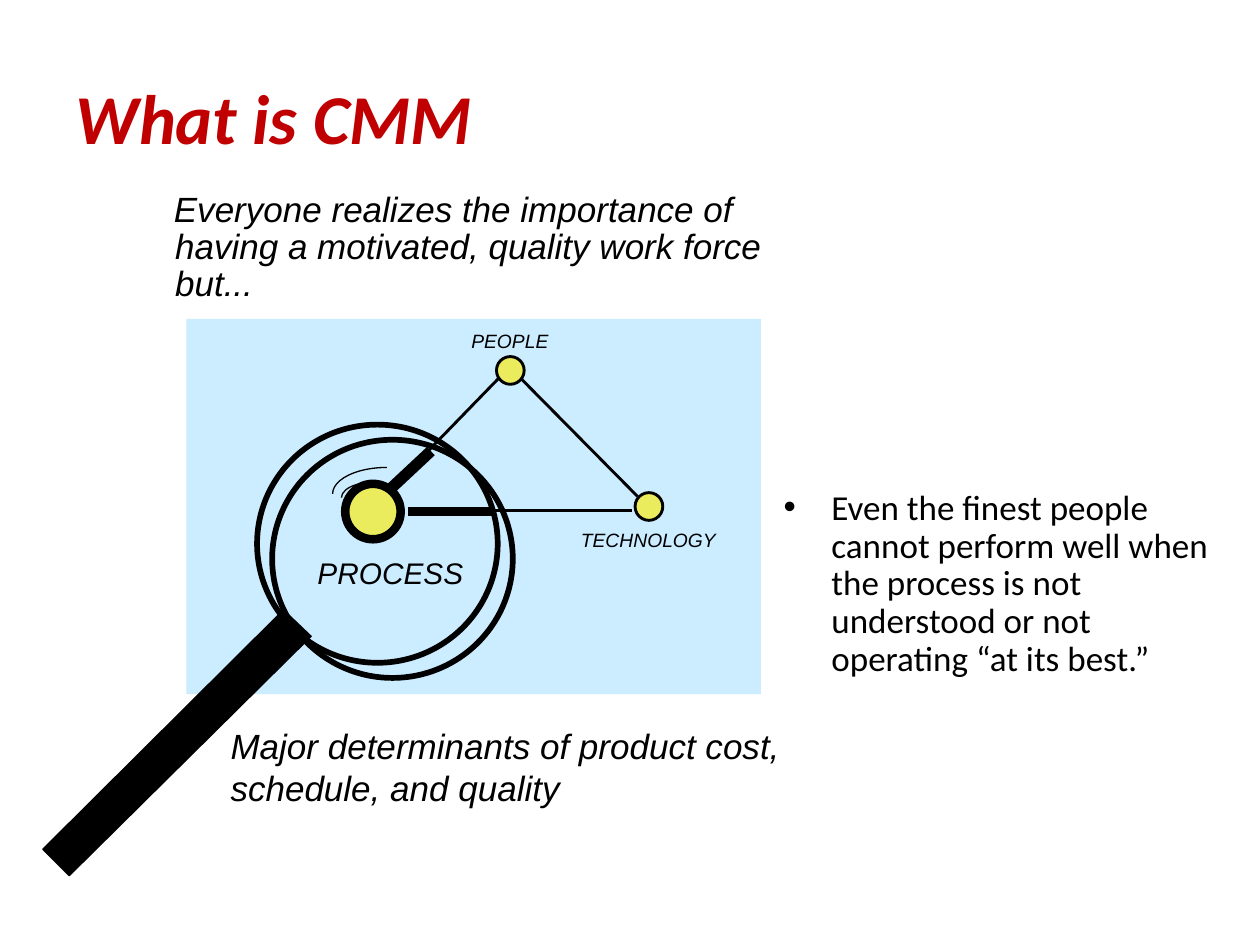
from lxml import etree
from pptx import Presentation
from pptx.dml.color import RGBColor
from pptx.enum.shapes import MSO_CONNECTOR, MSO_SHAPE
from pptx.enum.text import MSO_ANCHOR, PP_ALIGN
from pptx.oxml.ns import qn
from pptx.util import Inches, Pt

RECTANGLE, OVAL, ARC = MSO_SHAPE.RECTANGLE, MSO_SHAPE.OVAL, MSO_SHAPE.ARC
STRAIGHT = MSO_CONNECTOR.STRAIGHT
MIDDLE, LEFT = MSO_ANCHOR.MIDDLE, PP_ALIGN.LEFT

COLORS = {"title": "C00000", "ink": "000000", "panel": "CCECFF", "node": "EAEC5E"}

# Content: places in inches, sizes and line widths in points
TITLE = ("What is CMM", (0.5, 0.3, 9, 1.25))
TEXTS = [  # text, place, insets (side, top), format, paragraph options
    ("Everyone realizes the importance of having a motivated, quality work force but...",
     (1.31, 1.5, 5.29, 0.94), (0.07, 0.03), {"size": Pt(20), "name": "Arial", "italic": True},
     {"spacing": 0.88, "indent": 0.01}),
    ("Even the finest people cannot perform well when the process is not understood "
     "or not operating “at its best.”",
     (6.12, 3.84, 3.68, 1.98), (0.1, 0.05), {"size": Pt(20), "name": "Calibri"},
     {"spacing": 0.9, "indent": 0.38, "bullet": "•"}),
    ("Major determinants of product cost, schedule, and quality",
     (1.83, 5.75, 4.53, 0.67), (0, 0), {"size": Pt(20), "name": "Arial", "italic": True}, {}),
]
LABELS = [  # text, place, size
    ("PEOPLE", (3.74, 2.61, 0.62, 0.18), 11),
    ("PROCESS", (2.52, 4.4, 1.16, 0.29), 17),
    ("TECHNOLOGY", (4.61, 4.19, 1.08, 0.18), 11),
]
PANEL = (1.48, 2.53, 4.56, 2.98)
LENS_RINGS = [(2.04, 3.37, 1.91, 1.89), (2.16, 3.49, 1.91, 1.89)]
HANDLE = [(2.25, 4.84), (0.34, 6.74), (0.55, 6.95), (2.47, 5.05)]
GLINTS = [(2.64, 3.71, 0.86, 0.42), (2.71, 3.83, 0.48, 0.24)]
LINKS = [  # from, to, width
    ((3.61, 4.05), (5.02, 4.05), 1.63),
    ((4.13, 3), (5.06, 3.94), 1.63),
    ((3.31, 3.67), (3.96, 3), 1.63),
    ((3.24, 4.06), (3.92, 4.06), 4.88),
    ((3.11, 3.87), (3.42, 3.58), 6.5),
]
NODES = [  # place, outline width
    ((5.04, 3.91, 0.22, 0.22), 1.63),
    ((3.94, 2.83, 0.22, 0.22), 1.63),
    ((2.74, 3.84, 0.44, 0.44), 4.88),
]


def color(name):
    return RGBColor.from_string(COLORS[name])


def inches(values):
    return [Inches(value) for value in values]


def paint(shape, fill=None, width=None):
    shape.shadow.inherit = False
    if fill:
        shape.fill.solid()
        shape.fill.fore_color.rgb = color(fill)
    else:
        shape.fill.background()
    if width:
        shape.line.width = Pt(width)
        shape.line.color.rgb = color("ink")
    else:
        shape.line.fill.background()


def add_shape(page, kind, place, fill=None, width=None):
    shape = page.shapes.add_shape(kind, *inches(place))
    paint(shape, fill, width)
    return shape


def add_link(page, start, end, width):
    link = page.shapes.add_connector(STRAIGHT, *inches(start + end))
    link.line.width = Pt(width)
    link.line.color.rgb = color("ink")
    etree.SubElement(link._element.spPr, qn("a:effectLst"))


def format_font(para, values, color_name="ink"):
    for key, value in values.items():
        setattr(para.font, key, value)
    para.font.color.rgb = color(color_name)


def add_text(page, text, place, insets, values, options, wrap=True):
    frame = page.shapes.add_textbox(*inches(place)).text_frame
    frame.word_wrap = wrap
    frame.margin_left = frame.margin_right = Inches(insets[0])
    frame.margin_top = frame.margin_bottom = Inches(insets[1])
    para = frame.paragraphs[0]
    para.text = text
    if "spacing" in options:
        para.line_spacing = options["spacing"]
    if "indent" in options:
        indent = Inches(options["indent"])
        properties = para._p.get_or_add_pPr()
        properties.set("marL", str(indent))
        properties.set("indent", str(-indent))
        if "bullet" in options:
            font = etree.SubElement(properties, qn("a:buFont"))
            font.set("typeface", "Arial")
            bullet = etree.SubElement(properties, qn("a:buChar"))
            bullet.set("char", options["bullet"])
    format_font(para, values)


def main():
    deck = Presentation()
    deck.slide_width, deck.slide_height = Inches(10), Inches(7.5)
    page = deck.slides.add_slide(deck.slide_layouts[5])

    # Title
    text, place = TITLE
    title = page.shapes.title
    title.left, title.top, title.width, title.height = inches(place)
    title.text_frame.text = text
    title.text_frame.vertical_anchor = MIDDLE
    para = title.text_frame.paragraphs[0]
    para.alignment = LEFT
    format_font(para, {"size": Pt(40), "name": "Calibri", "bold": True, "italic": True}, "title")

    # Running text
    for entry in TEXTS:
        add_text(page, *entry)

    # Panel and magnifying glass
    add_shape(page, RECTANGLE, PANEL, fill="panel")
    for place in LENS_RINGS:
        add_shape(page, OVAL, place, width=3.25)
    outline = page.shapes.build_freeform(*inches(HANDLE[0]), scale=1.0)
    outline.add_line_segments([inches(point) for point in HANDLE[1:]], close=True)
    paint(outline.convert_to_shape(), "ink", 0.75)
    for place in GLINTS:
        glint = add_shape(page, ARC, place, width=0.75)
        # Upper left quarter: 180 to 270 degrees, in units of 100000/60000 degree
        glint.adjustments[0], glint.adjustments[1] = 108, 162

    # Triangle of determinants
    for link in LINKS:
        add_link(page, *link)
    for place, width in NODES:
        add_shape(page, OVAL, place, "node", width)
    for text, place, size in LABELS:
        values = {"size": Pt(size), "name": "Arial", "italic": True}
        add_text(page, text, place, (0, 0), values, {}, wrap=False)

    deck.save("out.pptx")


if __name__ == "__main__":
    main()
